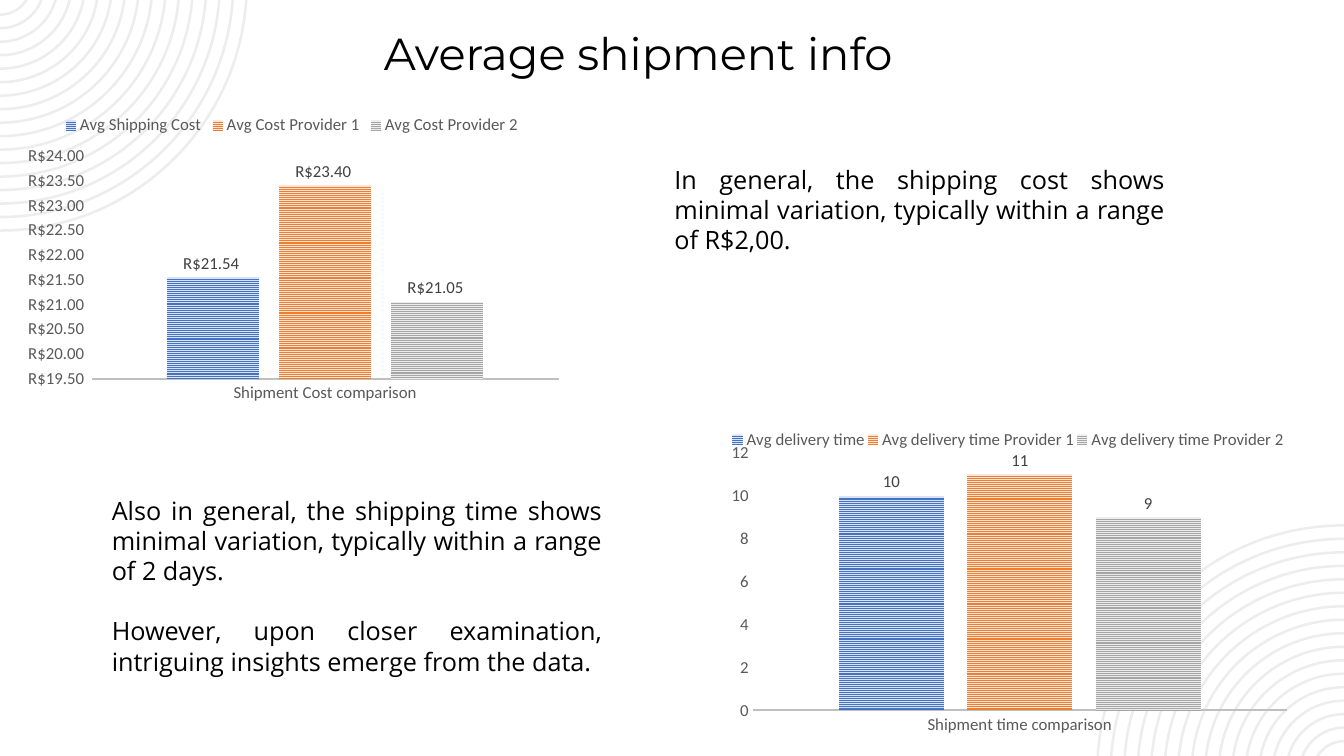
from dataclasses import dataclass
from math import asin, cos, pi, sin, tan
from typing import Any, NamedTuple, Optional

from lxml.etree import SubElement, Element
from pptx import Presentation
from pptx.chart.data import CategoryChartData
from pptx.dml.color import RGBColor
from pptx.enum.chart import XL_CHART_TYPE as ChartType
from pptx.enum.chart import XL_LABEL_POSITION as LabelPos
from pptx.enum.chart import XL_LEGEND_POSITION as LegendPos
from pptx.enum.chart import XL_TICK_MARK as Tick
from pptx.enum.dml import MSO_PATTERN_TYPE as Pattern
from pptx.enum.text import MSO_AUTO_SIZE as AutoSize
from pptx.enum.text import PP_ALIGN as Align
from pptx.oxml.ns import qn
from pptx.util import Inches, Pt

show = Presentation()
show.slide_width, show.slide_height = Inches(13.33), Inches(7.5)
WIDTH, HEIGHT = show.slide_width, show.slide_height
slide = show.slides.add_slide(show.slide_layouts[6])


class Place(NamedTuple):
    """Position and size in percent of the slide."""
    left: float
    top: float
    width: float
    height: float

    def lengths(self) -> list[int]:
        return [round(share * side / 100) for share, side in
                zip(self, (WIDTH, HEIGHT, WIDTH, HEIGHT))]


class Frame(NamedTuple):
    """Inner layout of a chart part, in shares of the chart."""
    x: float
    y: float
    w: float
    h: float


@dataclass
class Passage:
    place: Place
    paragraphs: list[str]
    face: str = "Open Sans"
    size: int = 18
    align: Align = Align.JUSTIFY
    wrap: bool = True


@dataclass
class Comparison:
    place: Place
    category: str
    averages: dict[str, float]
    scale: dict[str, float]
    number_format: str
    plot: Frame
    legend: Optional[Frame] = None


def rgb(code: str) -> RGBColor:
    return RGBColor.from_string(code)


def set_all(target: Any, values: dict[str, Any]) -> None:
    for name, value in values.items():
        setattr(target, name, value)


def set_font(font: Any, face: str, size: int, color: str) -> None:
    set_all(font, {"name": face, "size": Pt(size)})
    font.color.rgb = rgb(color)


# Concentric corner rings
RINGS, RING_STEP, RING_LINE = 17, 0.1338, 0.025
OUTER_RADIUS, CENTER_RISE = 2.46, 0.16


def arc(radius: float) -> list[tuple[float, float]]:
    """Start, two control points and end of the arc below the slide's edge."""
    start, end = asin(CENTER_RISE / radius), pi / 2
    pull = 4 / 3 * tan((end - start) / 4)
    turns = [(start, 0), (start, pull), (end, -pull), (end, 0)]
    return [(radius * (cos(a) - k * sin(a)), radius * (sin(a) + k * cos(a)) - CENTER_RISE)
            for a, k in turns]


def bend_arcs(rings: Any) -> None:
    """Turn the lines through control points into curves, two for each ring."""
    lines = rings._element.findall(".//" + qn("a:lnTo"))
    for first in range(0, len(lines), 7):
        for begin in (first, first + 4):
            curve = Element(qn("a:cubicBezTo"))
            lines[begin].addprevious(curve)
            for line in lines[begin:begin + 3]:
                curve.append(line[0])
                line.getparent().remove(line)


def draw_rings(opposite_corner: bool) -> None:
    def spot(x: float, y: float) -> tuple[int, int]:
        across, down = Inches(x), Inches(y)
        return (WIDTH - across, HEIGHT - down) if opposite_corner else (across, down)

    builder = None
    for ring in range(RINGS):
        radius = OUTER_RADIUS - ring * RING_STEP
        outline = [spot(*p) for p in arc(radius) + arc(radius - RING_LINE)[::-1]]
        if builder is None:
            builder = slide.shapes.build_freeform(*outline[0], scale=1.0)
        else:
            builder.move_to(*outline[0])
        builder.add_line_segments(outline[1:], close=True)
    rings = builder.convert_to_shape()
    bend_arcs(rings)
    rings.shadow.inherit = False
    rings.fill.solid()
    rings.fill.fore_color.rgb = rgb("EDEDED")
    rings.line.fill.background()


# Text
def draw_passage(passage: Passage) -> None:
    frame = slide.shapes.add_textbox(*passage.place.lengths()).text_frame
    set_all(frame, {"word_wrap": passage.wrap, "auto_size": AutoSize.SHAPE_TO_FIT_TEXT})
    for i, words in enumerate(passage.paragraphs):
        paragraph = frame.add_paragraph() if i else frame.paragraphs[0]
        paragraph.alignment = passage.align
        if i:
            paragraph.space_before = Pt(21.6)
        run = paragraph.add_run()
        run.text = words
        set_font(run.font, passage.face, passage.size, "000000")


# Charts
STRIPES = [("4472C4", "DAE3F3"), ("ED7D31", "FBE5D6"), ("A5A5A5", "EDEDED")]
REAIS = r'"R$"#,##0.00_);[Red]\("R$"#,##0.00\)'


def place_part(part: Any, index: int, frame: Frame, inner: bool) -> None:
    for automatic in part.findall(qn("c:layout")):
        part.remove(automatic)
    layout = Element(qn("c:layout"))
    manual = SubElement(layout, qn("c:manualLayout"))
    values = {"layoutTarget": "inner"} if inner else {}
    values |= {"xMode": "edge", "yMode": "edge"} | frame._asdict()
    for tag, value in values.items():
        SubElement(manual, qn(f"c:{tag}")).set("val", str(value))
    part.insert(index, layout)


def draw_comparison(item: Comparison) -> None:
    data = CategoryChartData(number_format=item.number_format)
    data.categories = [item.category]
    for name, average in item.averages.items():
        data.add_series(name, [average])
    chart = slide.shapes.add_chart(
        ChartType.COLUMN_CLUSTERED, *item.place.lengths(), data).chart
    set_all(chart, {"has_title": False, "has_legend": True})
    set_font(chart.font, "Calibri", 10, "000000")
    set_all(chart.legend, {"position": LegendPos.TOP, "include_in_layout": False})
    set_font(chart.legend.font, "Calibri", 12, "595959")

    # Axes
    for axis in (chart.category_axis, chart.value_axis):
        set_all(axis, {"has_major_gridlines": False, "major_tick_mark": Tick.NONE,
                       "minor_tick_mark": Tick.NONE})
        set_font(axis.tick_labels.font, "Calibri", 12, "595959")
    baseline = chart.category_axis.format.line
    baseline.color.rgb = rgb("BFBFBF")
    baseline.width = Pt(1.5)
    chart.value_axis.format.line.fill.background()
    set_all(chart.value_axis, item.scale)
    numbers = {"number_format": item.number_format, "number_format_is_linked": False}
    set_all(chart.value_axis.tick_labels, numbers)

    # Striped columns with value labels
    columns = chart.plots[0]
    set_all(columns, {"gap_width": 164, "overlap": -22, "vary_by_categories": False})
    for column, (stripe, ground) in zip(columns.series, STRIPES):
        fill = column.format.fill
        fill.patterned()
        fill.pattern = Pattern.NARROW_HORIZONTAL
        fill.fore_color.rgb, fill.back_color.rgb = rgb(stripe), rgb(ground)
        labels = column.data_labels
        set_all(labels, numbers | {"show_value": True, "position": LabelPos.OUTSIDE_END})
        set_font(labels.font, "Calibri", 12, "404040")

    # Inner layout
    place_part(chart._chartSpace.find(".//" + qn("c:plotArea")), 0, item.plot, True)
    if item.legend:
        place_part(chart.legend._element, 1, item.legend, False)


# Slide content
TITLE = Passage(Place(27.83, 2.8, 44.26, 8.53), ["Average shipment info"],
                face="Montserrat", size=32, align=Align.LEFT, wrap=False)
COST_NOTE = Passage(Place(49.44, 21.07, 37.96, 9.47), [
    "In general, the shipping cost shows minimal variation, "
    "typically within a range of R$2,00."])
TIME_NOTE = Passage(Place(7.58, 64.8, 37.96, 25.6), [
    "Also in general, the shipping time shows minimal variation, "
    "typically within a range of 2 days.",
    "However, upon closer examination, intriguing insights emerge from the data."])
COST = Comparison(
    Place(1.05, 13.73, 41.34, 40.4), "Shipment Cost comparison",
    {"Avg Shipping Cost": 21.54, "Avg Cost Provider 1": 23.4, "Avg Cost Provider 2": 21.05},
    {"minimum_scale": 19.5, "maximum_scale": 24, "major_unit": 0.5}, REAIS,
    plot=Frame(0.14, 0.17, 0.84, 0.73))
TIME = Comparison(
    Place(53.41, 53.2, 43.21, 44.8), "Shipment time comparison",
    {"Avg delivery time": 10, "Avg delivery time Provider 1": 11,
     "Avg delivery time Provider 2": 9},
    {"minimum_scale": 0, "maximum_scale": 12, "major_unit": 2}, "General",
    plot=Frame(0.06, 0.15, 0.92, 0.76), legend=Frame(0.02, 0.07, 0.96, 0.08))

for corner in (False, True):
    draw_rings(corner)
for comparison in (COST, TIME):
    draw_comparison(comparison)
for text in (TITLE, COST_NOTE, TIME_NOTE):
    draw_passage(text)

show.save("out.pptx")
